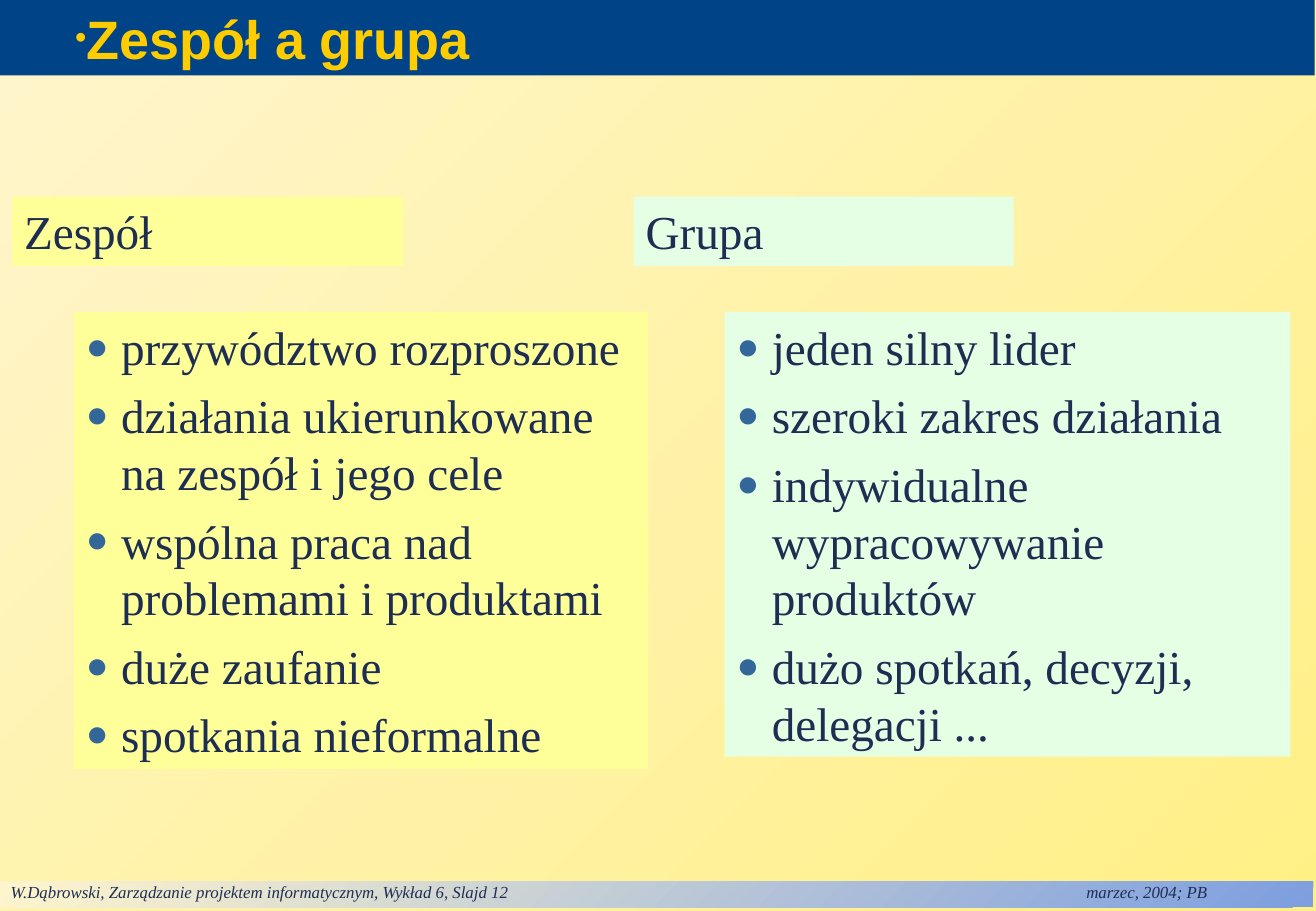
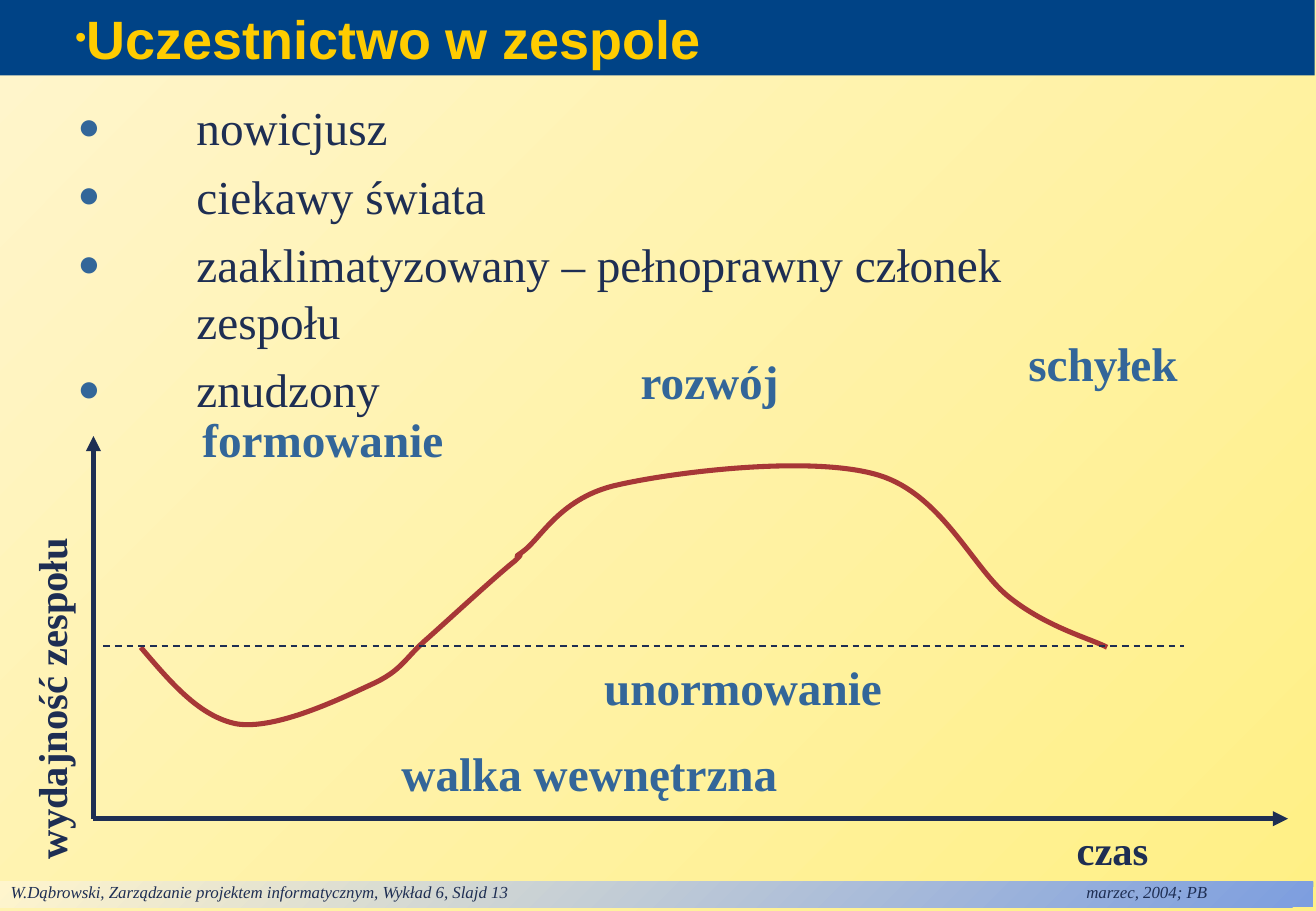
"""Build two lecture slides: team versus group, and membership of a team."""
import lxml.etree
import pptx
import pptx.dml.color
import pptx.enum.dml
import pptx.enum.shapes
import pptx.enum.text
import pptx.oxml.ns
import pptx.util

RGB = pptx.dml.color.RGBColor
NAVY = RGB(0x00, 0x43, 0x86)
GOLD = RGB(0xFF, 0xCC, 0x00)
INK = RGB(0x1E, 0x2E, 0x53)
STEEL = RGB(0x33, 0x66, 0x99)
RUST = RGB(0xA7, 0x37, 0x37)
LEMON = RGB(0xFF, 0xFF, 0x99)
MINT = RGB(0xE5, 0xFF, 0xE5)
SAND = RGB(0xFF, 0xF0, 0x85)
CREAM = RGB(0xFF, 0xF5, 0xCD)
SKY = RGB(0x7D, 0x9E, 0xDF)

WIDE, HIGH = 10.84, 7.5
SERIF = "Times New Roman"
ALIGN = pptx.enum.text.PP_ALIGN
ANCHOR = pptx.enum.text.MSO_ANCHOR
RECT = pptx.enum.shapes.MSO_SHAPE.RECTANGLE
DASH = pptx.enum.dml.MSO_LINE.DASH
inch, point, qname = pptx.util.Inches, pptx.util.Pt, pptx.oxml.ns.qn

TITLE = dict(name="Arial", size=point(32), bold=True, color=GOLD)
BODY = dict(name=SERIF, size=point(28), color=INK)
PHASE = dict(name=SERIF, size=point(28), bold=True, color=STEEL)
AXIS = dict(name=SERIF, size=point(24), bold=True, color=INK)
FOOT = dict(name=SERIF, size=point(10), italic=True, color=INK)
DOT = dict(char="●", color=STEEL, size=80)
MARK = dict(char="•", color=GOLD, size=60)

FOOTER = ("W.Dąbrowski, Zarządzanie projektem informatycznym, "
          "Wykład 6, Slajd {}\tmarzec, 2004; PB")
PAGES = [(12, "Zespół a grupa"), (13, "Uczestnictwo w zespole")]

HEAD_TOP, HEAD_HIGH, LIST_TOP = 1.62, 0.57, 2.57
SIDES = [
    dict(name="Zespół", fill=LEMON, head=(0.1, 3.22), box=(0.61, 4.73, 3.76),
         items=["przywództwo rozproszone",
                "działania ukierunkowane na zespół i jego cele",
                "wspólna praca nad problemami i produktami",
                "duże zaufanie", "spotkania nieformalne"]),
    dict(name="Grupa", fill=MINT, head=(5.22, 3.13), box=(5.97, 4.66, 3.66),
         items=["jeden silny lider", "szeroki zakres działania",
                "indywidualne wypracowywanie produktów",
                "dużo spotkań, decyzji, delegacji ..."]),
]

ROLES = ["nowicjusz", "ciekawy świata",
         "zaaklimatyzowany – pełnoprawny członek zespołu", "znudzony"]
PHASES = [("formowanie", 1.48, 3.44, 2.36),
          ("walka wewnętrzna", 3.13, 6.19, 3.45),
          ("unormowanie", 4.86, 5.48, 2.52),
          ("rozwój", 4.94, 2.96, 1.81),
          ("schyłek", 8.18, 2.81, 1.81)]
START = (1.16, 5.33)
BENDS = [((1.4, 5.61), (1.64, 5.9), (1.95, 5.96)),
         ((2.27, 6.01), (2.79, 5.76), (3.05, 5.64)),
         ((3.32, 5.52), (3.33, 5.42), (3.53, 5.25)),
         ((3.72, 5.08), (4.1, 4.73), (4.24, 4.62)),
         ((4.37, 4.5), (4.17, 4.64), (4.31, 4.54)),
         ((4.46, 4.43), (4.62, 4.09), (5.1, 3.99)),
         ((5.59, 3.88), (6.69, 3.75), (7.23, 3.91)),
         ((7.77, 4.07), (8.02, 4.7), (8.33, 4.93)),
         ((8.64, 5.17), (8.99, 5.26), (9.12, 5.33))]
ZERO_X, ZERO_Y = 0.77, 6.74


def put(obj, vals):
    for key, val in vals.items():
        if key == "color":
            obj.color.rgb = val
        else:
            setattr(obj, key, val)


def add(node, tag, **vals):
    child = lxml.etree.SubElement(node, qname("a:" + tag))
    for key, val in vals.items():
        child.set(key, str(val))
    return child


def blend(fill, tint):
    fill.gradient()
    fill.gradient_angle = 135
    for stop, shade in zip(fill.gradient_stops, (tint, CREAM)):
        stop.color.rgb = shade


def write(shape, lines, font, dot=None, left=0, hang=0, tab=None,
          pad=(0.1, 0.05, 0.1, 0.05), anchor=ANCHOR.TOP, para=None):
    frame = shape.text_frame
    put(frame, dict(word_wrap=True, vertical_anchor=anchor))
    for side, gap in zip(("left", "top", "right", "bottom"), pad):
        setattr(frame, "margin_" + side, inch(gap))
    for num, line in enumerate(lines):
        par = frame.add_paragraph() if num else frame.paragraphs[0]
        props = par._p.get_or_add_pPr()
        if dot:
            props.set("marL", str(inch(left)))
            props.set("indent", str(inch(hang)))
            add(add(props, "buClr"), "srgbClr", val=dot["color"])
            add(props, "buSzPct", val=dot["size"] * 1000)
            add(props, "buFont", typeface=font["name"])
            add(props, "buChar", char=dot["char"])
        if tab:
            add(add(props, "tabLst"), "tab", pos=inch(tab), algn="l")
        put(par, dict(alignment=ALIGN.LEFT) | (para or {}))
        if num:
            par.space_before = point(7)
        run = par.add_run()
        run.text = line
        put(run.font, font)


def block(slide, spot, tint=None):
    shape = slide.shapes.add_shape(RECT, *map(inch, spot))
    shape.shadow.inherit = False
    shape.line.fill.background()
    if tint is None:
        shape.fill.background()
    else:
        shape.fill.solid()
        shape.fill.fore_color.rgb = tint
    return shape


def label(slide, spot, lines, font, **opts):
    box = slide.shapes.add_textbox(*map(inch, spot))
    write(box, lines, font, **opts)
    return box


def rule(slide, ends, width, dash=None, arrow=False):
    line = slide.shapes.add_connector(
        pptx.enum.shapes.MSO_CONNECTOR.STRAIGHT, *map(inch, ends))
    put(line.line, dict(color=INK, width=point(width)))
    if dash:
        line.line.dash_style = dash
    if arrow:
        add(line.line._get_or_add_ln(), "tailEnd", type="triangle")
    add(line._element.spPr, "effectLst")


def curve(slide):
    pen = slide.shapes.build_freeform(*map(inch, START))
    dots = [tuple(map(inch, dot)) for bend in BENDS for dot in bend]
    pen.add_line_segments(dots, close=False)
    shape = pen.convert_to_shape()
    legs = list(shape._element.iter(qname("a:lnTo")))
    for one, two, end in zip(legs[::3], legs[1::3], legs[2::3]):
        bend = lxml.etree.Element(qname("a:cubicBezTo"))
        one.addprevious(bend)
        for leg in (one, two, end):
            bend.append(leg[0])
            leg.getparent().remove(leg)
    shape.shadow.inherit = False
    shape.fill.background()
    put(shape.line, dict(width=point(3), color=RUST))


def base(deck, num, title):
    slide = deck.slides.add_slide(deck.slide_layouts[6])
    blend(slide.background.fill, SAND)
    foot = block(slide, (-0.01, 7.26, 10.83, 0.21))
    blend(foot.fill, SKY)
    write(foot, [FOOTER.format(num)], FOOT, tab=8.86, pad=(0.1, 0, 0.1, 0.04))
    band = block(slide, (0, 0, 10.83, 0.62), NAVY)
    write(band, [title], TITLE, dot=MARK, left=0.29, hang=0.23,
          anchor=ANCHOR.MIDDLE)
    return slide


def compare(slide):
    for side in SIDES:
        left, wide = side["head"]
        head = block(slide, (left, HEAD_TOP, wide, HEAD_HIGH), side["fill"])
        write(head, [side["name"]], BODY)
        left, wide, high = side["box"]
        body = block(slide, (left, LIST_TOP, wide, high), side["fill"])
        write(body, side["items"], BODY, dot=DOT, left=0.29, hang=-0.29)


def growth(slide):
    label(slide, (0.54, 0.76, 9.09, 2.26), ROLES, BODY,
          dot=DOT, left=0.98, hang=-0.98)
    curve(slide)
    rule(slide, (0.85, 5.32, 9.75, 5.32), 1, dash=DASH)
    rule(slide, (ZERO_X, ZERO_Y, ZERO_X, 3.59), 3, arrow=True)
    rule(slide, (ZERO_X, ZERO_Y, 10.61, ZERO_Y), 3, arrow=True)
    side = label(slide, (-1.98, 4.52, 4.8, 0.5), ["wydajność zespołu"], AXIS)
    side.rotation = 270
    label(slide, (8.77, ZERO_Y, 2.06, 0.5), ["czas"], AXIS)
    for name, left, top, wide in PHASES:
        phase = block(slide, (left, top, wide, 0.47))
        write(phase, [name], PHASE,
              para=dict(alignment=ALIGN.CENTER, line_spacing=0.75))


def main():
    deck = pptx.Presentation()
    put(deck, dict(slide_width=inch(WIDE), slide_height=inch(HIGH)))
    for page, draw in zip(PAGES, (compare, growth)):
        draw(base(deck, *page))
    deck.save("out.pptx")


if __name__ == "__main__":
    main()
